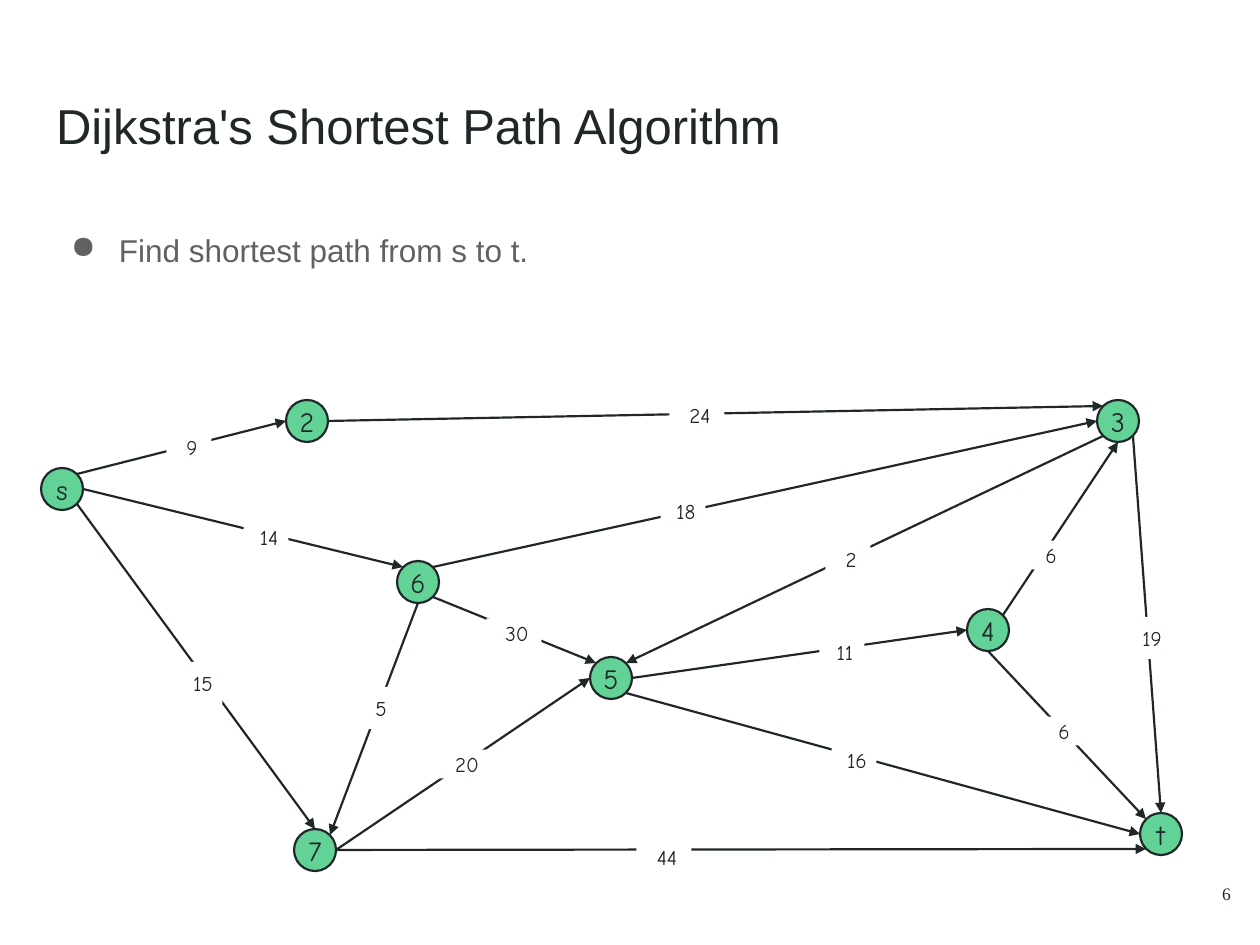
from lxml import etree
from pptx import Presentation
from pptx.dml.color import RGBColor
from pptx.enum.shapes import MSO_CONNECTOR, MSO_SHAPE
from pptx.enum.text import MSO_ANCHOR, MSO_AUTO_SIZE, PP_ALIGN
from pptx.oxml.ns import qn
from pptx.util import Pt

LEFT, CENTER, RIGHT = PP_ALIGN.LEFT, PP_ALIGN.CENTER, PP_ALIGN.RIGHT
TOP, MIDDLE = MSO_ANCHOR.TOP, MSO_ANCHOR.MIDDLE
STRAIGHT = MSO_CONNECTOR.STRAIGHT
OVAL, RECTANGLE = MSO_SHAPE.OVAL, MSO_SHAPE.RECTANGLE
NO_FIT = MSO_AUTO_SIZE.NONE

INK = RGBColor(0x20, 0x27, 0x29)
GRAY = RGBColor(0x61, 0x61, 0x61)
GREEN = RGBColor(0x63, 0xD2, 0x97)
WHITE = RGBColor(0xFF, 0xFF, 0xFF)

SCALE = 914400 / 126
RADIUS = 21
DIAGONAL = 15
INSET = 13
LINE_WIDTH = Pt(1.25)

TITLE = "Dijkstra's Shortest Path Algorithm"
TASK = "Find shortest path from s to t."
PAGE_NUMBER = "6"

NODES = {
    "s": (62, 489),
    "3": (1118, 421),
    "t": (1161, 834),
    "2": (307, 421),
    "6": (418, 582),
    "7": (315, 850),
    "4": (988, 630),
    "5": (611, 678),
}
SIDES = {
    "top": (0, -RADIUS),
    "bottom": (0, RADIUS),
    "left": (-RADIUS, 0),
    "right": (RADIUS, 0),
    "top left": (-DIAGONAL, -DIAGONAL),
    "top right": (DIAGONAL, -DIAGONAL),
    "bottom left": (-DIAGONAL, DIAGONAL),
    "bottom right": (DIAGONAL, DIAGONAL),
}
SMALL, WIDE, TALL = (45, 29), (55, 29), (45, 42)
EDGES = [
    ("s", "top right", "2", "left", "9", (189, 447), SMALL),
    ("s", "right", "6", "top left", "14", (266, 537), SMALL),
    ("s", "bottom right", "7", "top", "15", (200, 683), TALL),
    ("6", "top right", "3", "left", "18", (683, 511), SMALL),
    ("4", "top right", "3", "bottom", "6", (1048, 555), SMALL),
    ("6", "bottom right", "5", "top left", "30", (514, 633), WIDE),
    ("5", "bottom right", "t", "left", "16", (854, 760), SMALL),
    ("5", "right", "4", "left", "11", (842, 652), SMALL),
    ("4", "bottom", "t", "top left", "6", (1061, 731), SMALL),
    ("3", "bottom left", "5", "top right", "2", (848, 559), SMALL),
    ("6", "bottom", "7", "top right", "5", (378, 708), TALL),
    ("7", "right", "5", "left", "20", (464, 764), WIDE),
    ("2", "right", "3", "top left", "24", (697, 415), WIDE),
    ("7", "right", "t", "bottom left", "44", (664, 857), WIDE),
    ("3", "bottom right", "t", "top", "19", (1149, 638), TALL),
]

TITLE_FONT = {"name": "Arial", "size": Pt(28)}
TASK_FONT = {"name": "Arial", "size": Pt(18)}
NUMBER_FONT = {"name": "Times New Roman", "size": Pt(10)}
NODE_FONT = {"name": "Comic Neue", "size": Pt(16)}
LABEL_FONT = {"name": "Comic Neue", "size": Pt(12)}


def px(*lengths):
    return [round(length * SCALE) for length in lengths]


def write(shape, text, font, align, anchor, insets, color=INK, wrap=True):
    frame = shape.text_frame
    margins = zip(("left", "top", "right", "bottom"), px(*insets))
    settings = {f"margin_{side}": length for side, length in margins}
    settings |= {"auto_size": NO_FIT, "word_wrap": wrap, "vertical_anchor": anchor}
    for name, value in settings.items():
        setattr(frame, name, value)
    para = frame.paragraphs[0]
    para.alignment = align
    span = para.add_run()
    span.text = text
    for name, value in font.items():
        setattr(span.font, name, value)
    span.font.color.rgb = color
    return para


def add_centered(page, kind, center, size, fill):
    (x, y), (width, height) = center, size
    box = px(x - width / 2, y - height / 2, width, height)
    shape = page.shapes.add_shape(kind, *box)
    shape.shadow.inherit = False
    shape.fill.solid()
    shape.fill.fore_color.rgb = fill
    return shape


def add_bullet(para, indent, hang):
    props = para._p.get_or_add_pPr()
    props.set("marL", str(px(indent)[0]))
    props.set("indent", str(px(-hang)[0]))
    color = etree.SubElement(props, qn("a:buClr"))
    etree.SubElement(color, qn("a:srgbClr"), val=str(GRAY))
    etree.SubElement(props, qn("a:buChar"), char="●")


def site(node, side):
    return [place + shift for place, shift in zip(NODES[node], SIDES[side])]


def add_arrow(page, start, end):
    arrow = page.shapes.add_connector(STRAIGHT, *px(*start, *end))
    arrow.line.color.rgb = INK
    arrow.line.width = LINE_WIDTH
    etree.SubElement(arrow.line._get_or_add_ln(), qn("a:tailEnd"), type="triangle")
    etree.SubElement(arrow._element.spPr, qn("a:effectLst"))


def main():
    deck = Presentation()
    deck.slide_width, deck.slide_height = px(1260, 945)
    page = deck.slides.add_slide(deck.slide_layouts[5])

    title = page.shapes.title
    title.left, title.top, title.width, title.height = px(43, 82, 1174, 106)
    write(title, TITLE, TITLE_FONT, LEFT, TOP, [INSET] * 4)

    body = page.shapes.add_textbox(*px(43, 212, 1174, 627))
    para = write(body, TASK, TASK_FONT, LEFT, TOP, [INSET] * 4, GRAY)
    para.line_spacing = 1.15
    add_bullet(para, 63, 48)

    number = page.shapes.add_textbox(*px(1168, 857, 76, 72))
    write(number, PAGE_NUMBER, NUMBER_FONT, RIGHT, MIDDLE, [INSET] * 4)

    for name, center in NODES.items():
        node = add_centered(page, OVAL, center, (2 * RADIUS, 2 * RADIUS), GREEN)
        node.line.color.rgb = INK
        node.line.width = LINE_WIDTH
        write(node, name, NODE_FONT, CENTER, MIDDLE, (13, 6, 13, 6), wrap=False)

    for source, leave, target, enter, *_ in EDGES:
        add_arrow(page, site(source, leave), site(target, enter))

    for *_, weight, center, size in EDGES:
        label = add_centered(page, RECTANGLE, center, size, WHITE)
        label.line.fill.background()
        write(label, weight, LABEL_FONT, CENTER, MIDDLE, (6, 0, 0, 0))

    deck.save("out.pptx")


if __name__ == "__main__":
    main()
